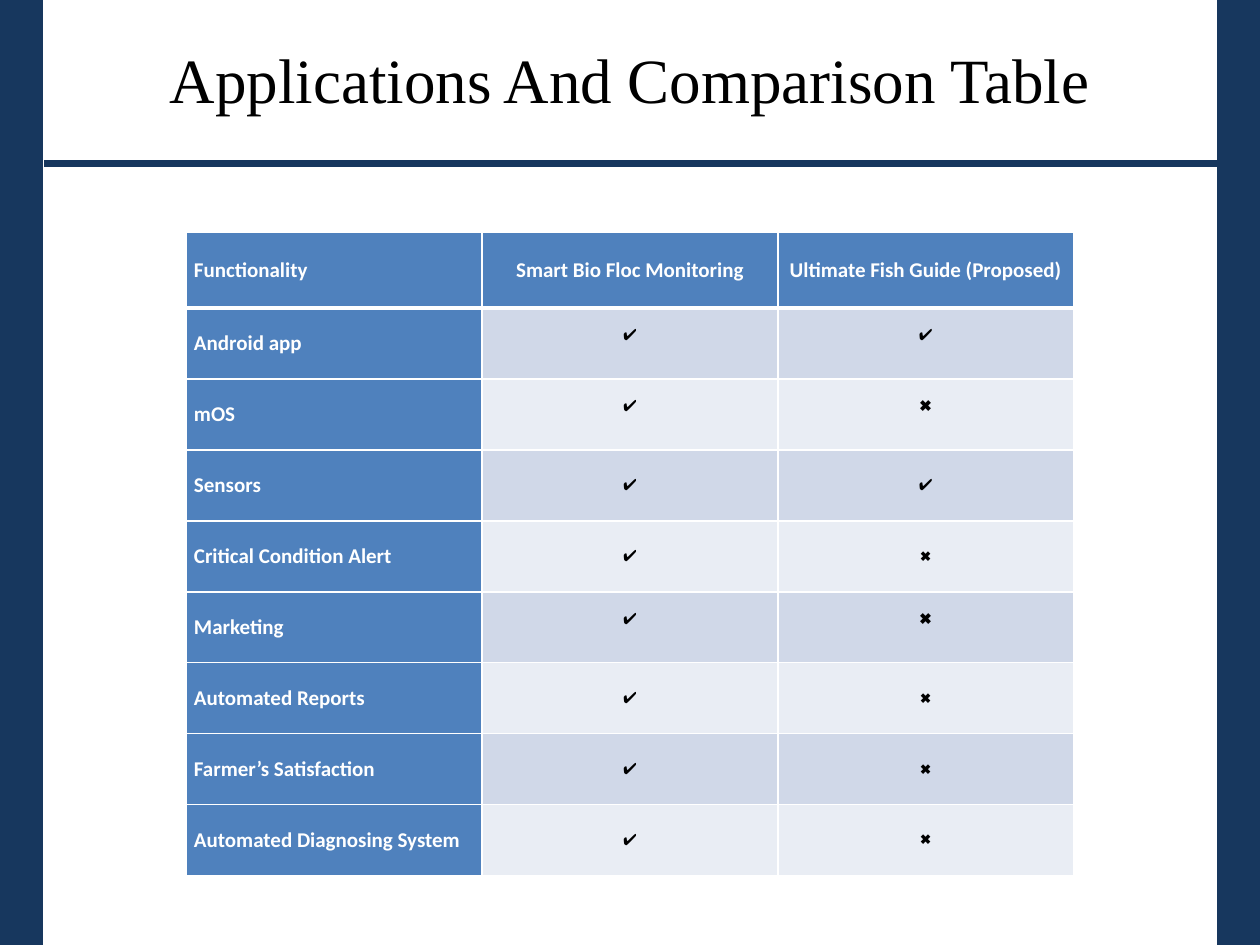
from lxml import etree
from pptx import Presentation
from pptx.dml.color import RGBColor
from pptx.enum.shapes import MSO_SHAPE
from pptx.enum.text import MSO_ANCHOR, PP_ALIGN
from pptx.oxml.ns import qn
from pptx.util import Cm, Pt

RECTANGLE = MSO_SHAPE.RECTANGLE
MIDDLE, TOP = MSO_ANCHOR.MIDDLE, MSO_ANCHOR.TOP
LEFT, CENTER = PP_ALIGN.LEFT, PP_ALIGN.CENTER

NAVY = RGBColor(0x17, 0x37, 0x5E)
BLUE = RGBColor(0x4F, 0x81, 0xBD)
BAND_DARK = RGBColor(0xD0, 0xD8, 0xE8)
BAND_LIGHT = RGBColor(0xE9, 0xED, 0xF4)
WHITE = RGBColor(0xFF, 0xFF, 0xFF)
BLACK = RGBColor(0, 0, 0)

SLIDE_W, SLIDE_H = 25.4, 19.05
BAR_W = 0.84
COL_W, HEADER_H, ROW_H = 5.96, 1.53, 1.43
RAISED_MARGIN = 0.33

HEADERS = ["Functionality", "Smart Bio Floc Monitoring",
           "Ultimate Fish Guide (Proposed)"]
# Feature, first mark, second mark, size of second mark, marks raised
FEATURES = [
    ("Android app", "✔", "✔", 9, True),
    ("mOS", "✔", "✖", 9, True),
    ("Sensors", "✔", "✔", 9, False),
    ("Critical Condition Alert", "✔", "✖", 8, False),
    ("Marketing", "✔", "✖", 9, True),
    ("Automated Reports", "✔", "✖", 8, False),
    ("Farmer’s Satisfaction", "✔", "✖", 8, False),
    ("Automated Diagnosing System", "✔", "✖", 8, False),
]


def write(tf, text, size, color, align=LEFT, font="Calibri", bold=False):
    p = tf.paragraphs[0]
    p.text = text
    p.alignment = align
    r = p.runs[0]
    r.font.name, r.font.size, r.font.bold = font, Pt(size), bold
    r.font.color.rgb = color
    return r


def add_side_bar(slide, left):
    sp = slide.shapes.add_shape(RECTANGLE, Cm(left), 0, Cm(BAR_W), Cm(SLIDE_H))
    sp.shadow.inherit = False
    sp.fill.solid()
    sp.fill.fore_color.rgb = NAVY
    sp.line.color.rgb = NAVY
    sp.line.width = Pt(2)


def add_text(slide, left, top, width, height, text, size, color, anchor=TOP,
             **style):
    box = slide.shapes.add_textbox(Cm(left), Cm(top), Cm(width), Cm(height))
    tf = box.text_frame
    tf.word_wrap = True
    tf.vertical_anchor = anchor
    return write(tf, text, size, color, **style)


def set_borders(cell, top=1, bottom=1):
    """Give the cell white borders; they must come before its fill."""
    tc_pr = cell._tc.get_or_add_tcPr()
    widths = {"a:lnL": 1, "a:lnR": 1, "a:lnT": top, "a:lnB": bottom}
    for tag, width in widths.items():
        ln = etree.SubElement(tc_pr, qn(tag), w=str(Pt(width)))
        fill = etree.SubElement(ln, qn("a:solidFill"))
        etree.SubElement(fill, qn("a:srgbClr"), val=str(WHITE))


def fill_cell(cell, text, size, color, fill, align, bold=False, raised=False,
              top=1, bottom=1):
    set_borders(cell, top, bottom)
    cell.fill.solid()
    cell.fill.fore_color.rgb = fill
    cell.vertical_anchor = MIDDLE
    cell.margin_left = cell.margin_right = Cm(0.15)
    cell.margin_top = 0
    cell.margin_bottom = Cm(RAISED_MARGIN if raised else 0)
    write(cell.text_frame, text, size, color, align, bold=bold)


def add_comparison_table(slide, left, top):
    table = slide.shapes.add_table(
        len(FEATURES) + 1, len(HEADERS), Cm(left), Cm(top),
        Cm(COL_W * len(HEADERS)),
        Cm(HEADER_H + ROW_H * len(FEATURES))).table
    for col in table.columns:
        col.width = Cm(COL_W)
    for i, row in enumerate(table.rows):
        row.height = Cm(ROW_H if i else HEADER_H)

    for c, header in enumerate(HEADERS):
        fill_cell(table.cell(0, c), header, 12, WHITE, BLUE,
                  CENTER if c else LEFT, bold=True, bottom=3)
    for i, (name, first, second, size, raised) in enumerate(FEATURES, 1):
        band = BAND_DARK if i % 2 else BAND_LIGHT
        top_line = 3 if i == 1 else 1
        fill_cell(table.cell(i, 0), name, 12, WHITE, BLUE, LEFT, bold=True,
                  top=top_line)
        for c, (mark, mark_size) in enumerate([(first, 9), (second, size)], 1):
            fill_cell(table.cell(i, c), mark, mark_size, BLACK, band, CENTER,
                      raised=raised, top=top_line)


def main():
    prs = Presentation()
    prs.slide_width, prs.slide_height = Cm(SLIDE_W), Cm(SLIDE_H)
    slide = prs.slides.add_slide(prs.slide_layouts[6])
    for left in (SLIDE_W - BAR_W, 0):
        add_side_bar(slide, left)
    rule = add_text(slide, 0.64, 1.47, 24.76, 2.13, "_" * 31, 44, NAVY)
    rule.font.underline = True
    add_text(slide, 1.9, 0.62, 21.6, 1.9, "Applications And Comparison Table",
             36, BLACK, MIDDLE, align=CENTER, font="Times New Roman")
    add_comparison_table(slide, 3.76, 4.68)
    prs.save("out.pptx")


if __name__ == "__main__":
    main()
